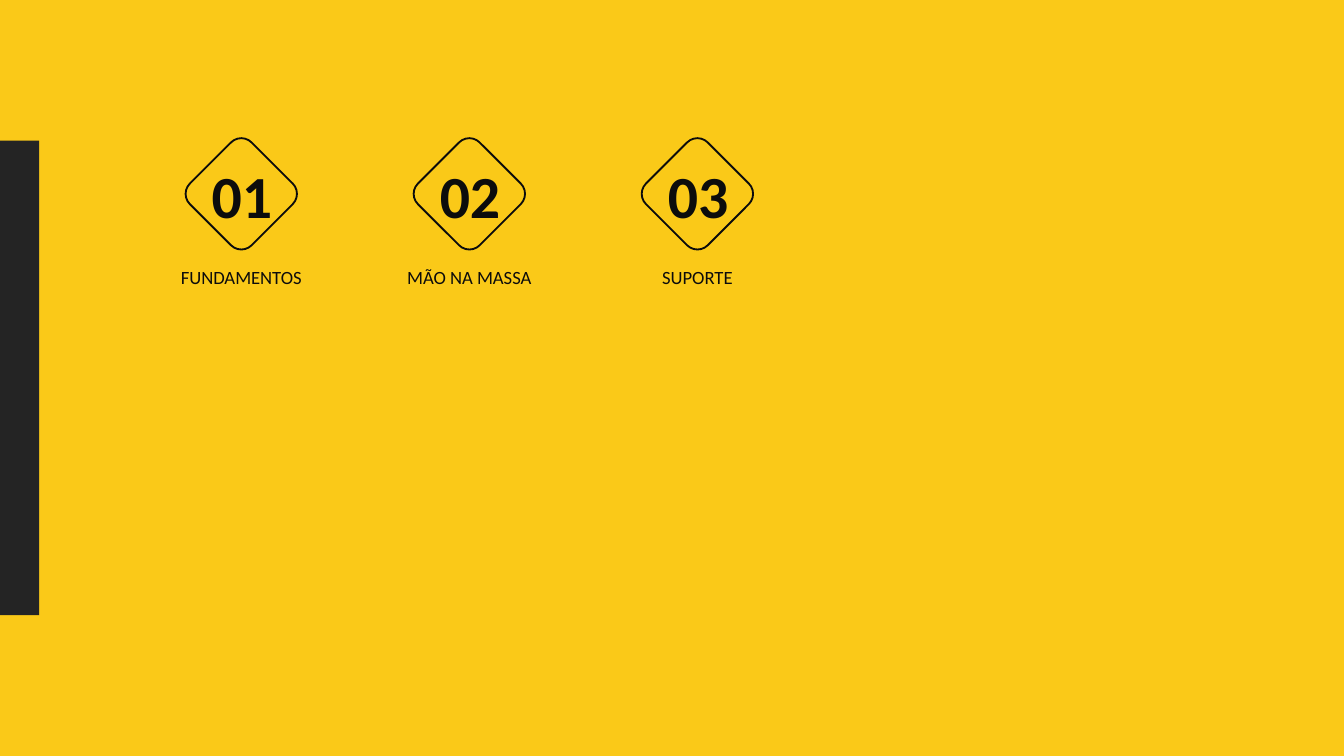
import pptx
import pptx.util
import pptx.dml.color
import pptx.enum.shapes
import pptx.enum.text

Cm = pptx.util.Cm
Pt = pptx.util.Pt
RGBColor = pptx.dml.color.RGBColor
SHAPE = pptx.enum.shapes.MSO_SHAPE

YELLOW = RGBColor(0xFA, 0xC9, 0x18)
DARK = RGBColor(0x24, 0x24, 0x24)
INK = RGBColor(0x0C, 0x0C, 0x0C)
FONT = "Calibri"

# number, label, label width in cm
STEPS = [
    ("01", "FUNDAMENTOS", 3.81),
    ("02", "MÃO NA MASSA", 2.67),
    ("03", "SUPORTE", 2.67),
]
FIRST = 4.56    # centre of the first step
PITCH = 4.31
SIDE = 1.65     # side of a diamond


def add_text(slide, text, box, size, bold=False, wrap=True):
    frame = slide.shapes.add_textbox(*map(Cm, box)).text_frame
    frame.word_wrap = wrap
    frame.auto_size = pptx.enum.text.MSO_AUTO_SIZE.SHAPE_TO_FIT_TEXT
    para = frame.paragraphs[0]
    para.text = text
    para.alignment = pptx.enum.text.PP_ALIGN.CENTER
    para.font.name = FONT
    para.font.size = Pt(size)
    para.font.bold = bold
    para.font.color.rgb = INK
    return frame


def add_step(slide, mid, number, label, width):
    left = mid - SIDE / 2
    diamond = slide.shapes.add_shape(
        SHAPE.ROUNDED_RECTANGLE, Cm(left), Cm(2.84), Cm(SIDE), Cm(SIDE))
    diamond.rotation = 45
    diamond.shadow.inherit = False
    diamond.fill.background()
    diamond.line.color.rgb = INK
    diamond.line.width = Pt(1)

    add_text(slide, number, (left, 2.87, 1.68, 1.63), 32, True, False)
    frame = add_text(slide, label, (mid - width / 2, 5.03, width, 0.43), 10)
    frame.margin_left = frame.margin_right = 0
    frame.margin_top = frame.margin_bottom = 0


def main():
    deck = pptx.Presentation()
    deck.slide_width, deck.slide_height = Cm(25.4), Cm(14.29)
    slide = deck.slides.add_slide(deck.slide_layouts[6])
    slide.background.fill.solid()
    slide.background.fill.fore_color.rgb = YELLOW

    bar = slide.shapes.add_shape(
        SHAPE.RECTANGLE, 0, Cm(2.66), Cm(0.74), Cm(8.97))
    bar.shadow.inherit = False
    bar.fill.solid()
    bar.fill.fore_color.rgb = DARK
    bar.line.fill.background()

    for i, step in enumerate(STEPS):
        add_step(slide, FIRST + i * PITCH, *step)
    deck.save("out.pptx")


if __name__ == "__main__":
    main()
